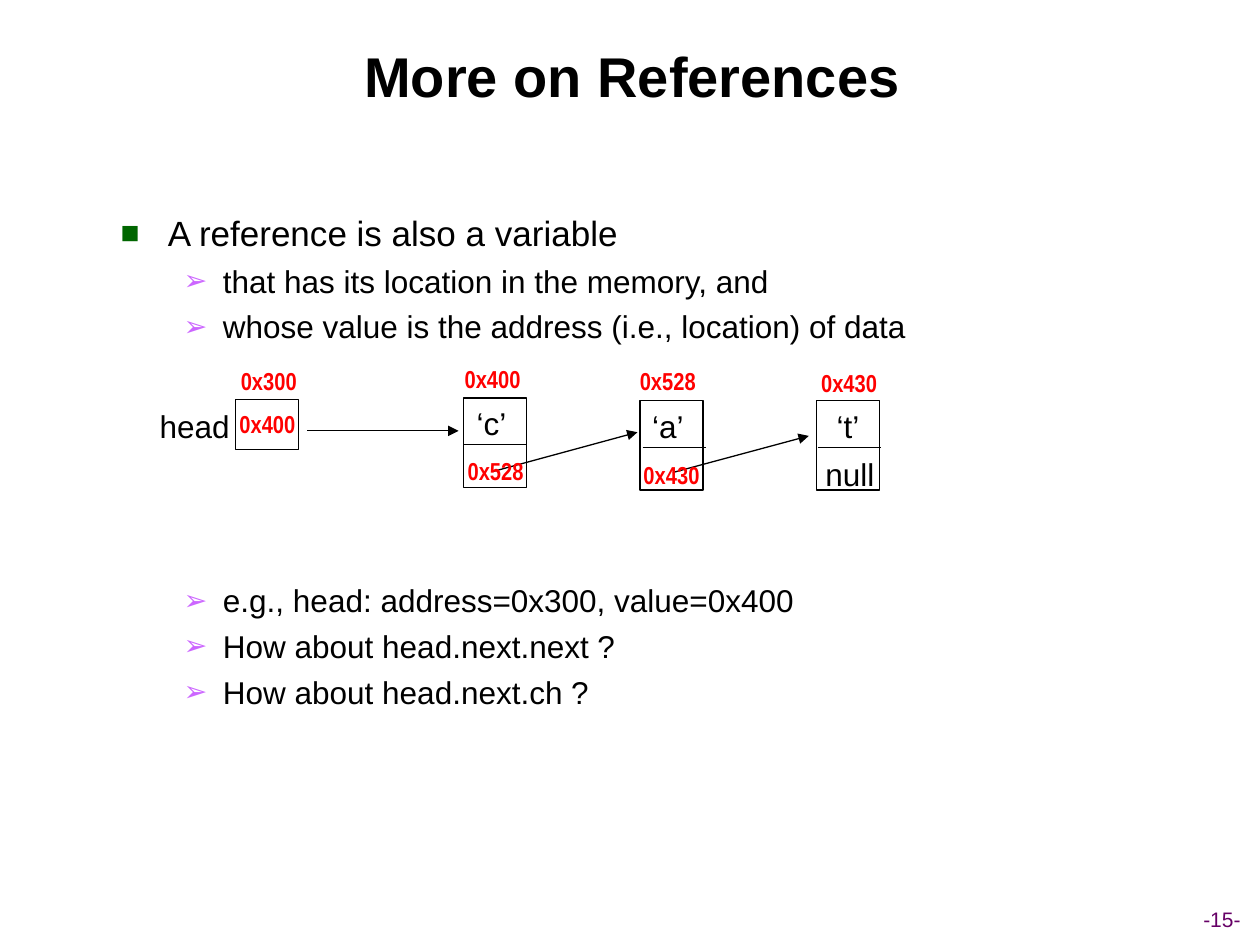
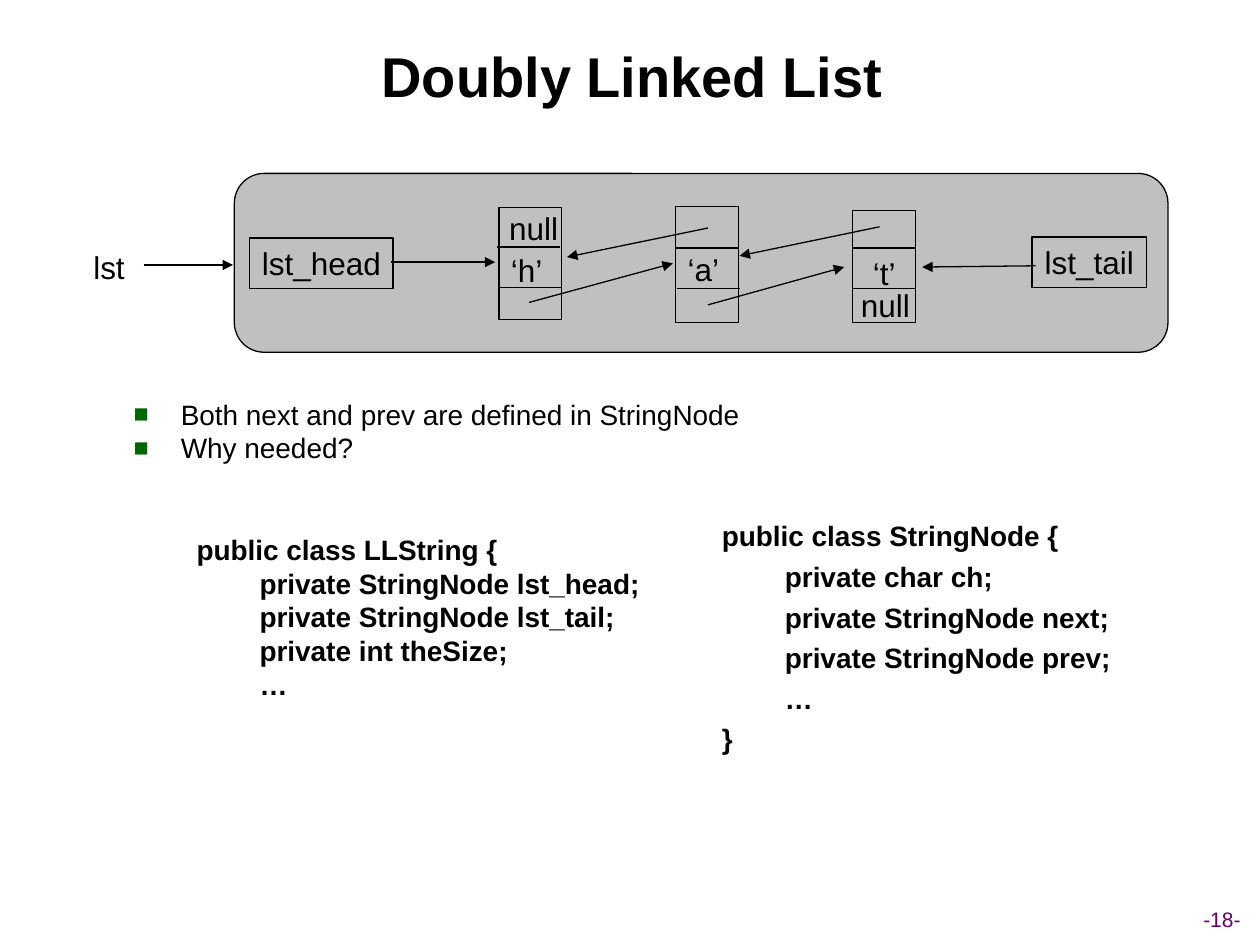
"""Build two lecture slides on references and linked lists."""
from lxml import etree
from pptx import Presentation
from pptx.dml.color import RGBColor
from pptx.enum import shapes, text
from pptx.oxml import ns
from pptx.util import Pt

COLORS = {"ink": "000000", "address": "FF0000", "band": "C0C0C0",
          "square": "006600", "arrowhead": "CC66FF", "page": "660066"}

FONTS = {
    "title": {"name": "Arial", "size": Pt(32), "bold": True, "color": "ink"},
    "point": {"name": "Arial", "size": Pt(20), "bold": False, "color": "ink"},
    "label": {"name": "Arial", "size": Pt(18), "bold": False, "color": "ink"},
    "small": {"name": "Arial", "size": Pt(16), "bold": False, "color": "ink"},
    "code": {"name": "Arial", "size": Pt(16), "bold": True, "color": "ink"},
    "page": {"name": "Arial", "size": Pt(12), "bold": False, "color": "page"},
    "address": {"name": "Arial Narrow", "size": Pt(14), "bold": True, "color": "address"},
}

LEVELS = {
    "point": {"font": "point", "level": 0, "indent": (27, -27), "bullet": ("■", "square"), "gap": 5},
    "detail": {"font": "label", "level": 1, "indent": (58.5, -22.5), "bullet": ("➢", "arrowhead"), "gap": 4.5},
    "small": {"font": "small", "level": 0, "indent": (27, -27), "bullet": ("■", "square"), "gap": 4},
    "code": {"font": "code", "level": 1, "indent": (58.5, -22.5), "bullet": None, "gap": 4},
    "member": {"font": "code", "level": 2, "indent": (90, -18), "bullet": None, "gap": 4},
}

TITLE_BOX = (27.6, 8.9, 667.4, 68.4)
PAGE_BOX = (659.8, 514.4, 77, 21.6)
NODE_WIDTH = 36
NULL_SIZE = (42.5, 28.8)
ADDRESS_SIZE = (46, 24.5)

REFERENCES = {
    "title": "More on References",
    "page": "-15-",
    "body_box": (61.7, 117.4, 603.4, 378),
    "line_spacing": 1.0,
    "body": [
        ("point", "A reference is also a variable"),
        ("detail", "that has its location in the memory, and"),
        ("detail", "whose value is the address (i.e., location) of data"),
        ("detail", "e.g., head: address=0x300, value=0x400", 135),
        ("detail", "How about head.next.next ?"),
        ("detail", "How about head.next.ch ?"),
    ],
    "boxes": [((134.6, 228.2, NODE_WIDTH, 28.8), "")],
    "nodes": {"left": 265, "step": 100.8, "text_top": 3.6,
              "items": [("‘c’ ", 227.5, 51), ("‘a’ ", 229, 51), ("‘t’", 229, 51)]},
    "dividers": [(265, 254.2), (367.2, 255.6), (467.3, 255.6)],
    "arrows": [((175.7, 246.2), (262.1, 246.2)),
               ((282.2, 269.3), (364.3, 247)),
               ((384.5, 270), (462.2, 249.1))],
    "labels": [("head", (84.2, 229, 54, 28.8)),
               ("null", (464.4, 256.3, *NULL_SIZE))],
    "addresses": [("0x300", 130.6, 205.4), ("0x400", 129.8, 230.4),
                  ("0x400", 258.5, 204.7), ("0x528", 260.2, 257),
                  ("0x528", 358.6, 205.7), ("0x430", 360.7, 259.2),
                  ("0x430", 462.2, 206.6)],
}

DOUBLY_LINKED = {
    "title": "Doubly Linked List",
    "page": "-18-",
    "band": (133.9, 99.1, 533.5, 102.2),
    "body_box": (69.1, 227, 603.4, 295),
    "line_spacing": 0.8,
    "body": [
        ("small", "Both next and prev are defined in StringNode"),
        ("small", "Why needed?"),
        ("code", "public class LLString {", 42.5),
        ("member", "private StringNode lst_head;"),
        ("member", "private StringNode lst_tail;"),
        ("member", "private int theSize;"),
        ("member", "…"),
    ],
    "boxes": [((142.6, 136, 82.1, 28.8), "lst_head"),
              ((589.7, 135.4, 65.5, 28.8), "lst_tail")],
    "nodes": {"left": 285.1, "step": 101.1, "text_top": 24.9,
              "items": [("‘h’ ", 118.8, 64), ("‘a’ ", 118, 66.3), ("‘t’", 120.2, 64)]},
    "dividers": [(283.9, 141.1), (386, 141.8), (487.4, 141.8),
                 (284.6, 164.2), (386.6, 164.9), (487.4, 164.9)],
    "arrows": [((82.1, 151.4), (133.2, 151.4)),
               ((223.2, 149.8), (283, 149.8)),
               ((302.4, 172.8), (384.5, 150.5)),
               ((404.6, 174.2), (482.4, 152.6)),
               ((502.6, 129.6), (422.6, 146.2)),
               ((404.6, 130.3), (324, 146.9)),
               ((591.8, 151.9), (527, 152.6))],
    "labels": [("lst", (46.1, 138.2, 32.4, 28.8)),
               ("null", (283.7, 115.9, *NULL_SIZE)),
               ("null", (484.6, 159.8, *NULL_SIZE))],
    "listing_box": (369.4, 293, 334, 172.8),
    "listing": [
        ("code", "public class StringNode {"),
        ("member", "private char ch;"),
        ("member", "private StringNode next;"),
        ("member", "private StringNode prev;"),
        ("member", "…"),
        ("code", "}"),
    ],
}


def points(values):
    return [Pt(value) for value in values]


def assign(target, values):
    for key, value in values.items():
        setattr(target, key, value)


def place(part, box):
    assign(part, dict(zip(("left", "top", "width", "height"), points(box))))


def rgb(name):
    return RGBColor.from_string(COLORS[name])


def write(paragraph, words, style):
    run = paragraph.add_run()
    run.text = words
    font = FONTS[style]
    assign(run.font, {key: font[key] for key in ("name", "size", "bold")})
    run.font.color.rgb = rgb(font["color"])


def write_centered(frame, words, style, top=3.6, anchor=text.MSO_ANCHOR.TOP):
    assign(frame, {"word_wrap": False, "margin_top": Pt(top), "margin_left": 0,
                   "margin_right": 0, "vertical_anchor": anchor})
    frame.paragraphs[0].alignment = text.PP_ALIGN.CENTER
    write(frame.paragraphs[0], words, style)


def add_element(parent, tag, **attributes):
    return etree.SubElement(parent, ns.qn(tag), attributes)


def set_bullet(properties, bullet):
    if bullet is None:
        add_element(properties, "a:buNone")
        return
    mark, color = bullet
    add_element(add_element(properties, "a:buClr"), "a:srgbClr", val=COLORS[color])
    add_element(properties, "a:buSzPct", val="90000")
    add_element(properties, "a:buChar", char=mark)


def write_outline(frame, lines, line_spacing=1.0):
    assign(frame, {"word_wrap": True, "auto_size": text.MSO_AUTO_SIZE.NONE,
                   "vertical_anchor": text.MSO_ANCHOR.TOP})
    for index, (kind, words, *gap) in enumerate(lines):
        level = LEVELS[kind]
        paragraph = frame.add_paragraph() if index else frame.paragraphs[0]
        properties = paragraph._p.get_or_add_pPr()
        for key, value in zip(("marL", "indent"), points(level["indent"])):
            properties.set(key, str(int(value)))
        set_bullet(properties, level["bullet"])
        before = (gap[0] if gap else level["gap"]) if index else 0
        assign(paragraph, {"level": level["level"], "line_spacing": line_spacing,
                           "space_before": Pt(before), "space_after": Pt(0),
                           "alignment": text.PP_ALIGN.LEFT})
        write(paragraph, words, level["font"])


def add_box(slide, box, words="", top=3.6, fill=None, kind=shapes.MSO_SHAPE.RECTANGLE):
    shape = slide.shapes.add_shape(kind, *points(box))
    shape.shadow.inherit = False
    if fill:
        shape.fill.solid()
        shape.fill.fore_color.rgb = rgb(fill)
    else:
        shape.fill.background()
    shape.line.color.rgb = rgb("ink")
    shape.line.width = Pt(0.75)
    if words:
        write_centered(shape.text_frame, words, "label", top)


def add_label(slide, words, box, style="label", anchor=text.MSO_ANCHOR.TOP):
    label = slide.shapes.add_textbox(*points(box))
    write_centered(label.text_frame, words, style, anchor=anchor)


def add_line(slide, start, end, arrow=False):
    line = slide.shapes.add_connector(shapes.MSO_CONNECTOR.STRAIGHT, *points(start + end))
    line.line.color.rgb = rgb("ink")
    line.line.width = Pt(0.75)
    if arrow:
        add_element(line.line._get_or_add_ln(), "a:tailEnd", type="triangle")
    add_element(line._element.spPr, "a:effectLst")


def draw_list(slide, content):
    for box, words in content["boxes"]:
        add_box(slide, box, words)
    nodes = content["nodes"]
    for index, (words, top, height) in enumerate(nodes["items"]):
        left = nodes["left"] + index * nodes["step"]
        add_box(slide, (left, top, NODE_WIDTH, height), words, nodes["text_top"])
    for left, top in content["dividers"]:
        add_line(slide, (left, top), (left + NODE_WIDTH, top))
    for start, end in content["arrows"]:
        add_line(slide, start, end, arrow=True)
    for words, box in content["labels"]:
        add_label(slide, words, box)
    for words, left, top in content.get("addresses", []):
        add_label(slide, words, (left, top, *ADDRESS_SIZE), "address")


def build_slide(deck, content):
    slide = deck.slides.add_slide(deck.slide_layouts[1])
    title, body = slide.placeholders
    place(title, TITLE_BOX)
    write_centered(title.text_frame, content["title"], "title", anchor=text.MSO_ANCHOR.MIDDLE)
    title.text_frame.word_wrap = True
    place(body, content["body_box"])
    write_outline(body.text_frame, content["body"], content["line_spacing"])
    if "band" in content:
        add_box(slide, content["band"], fill="band", kind=shapes.MSO_SHAPE.ROUNDED_RECTANGLE)
    draw_list(slide, content)
    if "listing" in content:
        listing = slide.shapes.add_textbox(*points(content["listing_box"]))
        write_outline(listing.text_frame, content["listing"])
    add_label(slide, content["page"], PAGE_BOX, "page", text.MSO_ANCHOR.MIDDLE)


def main():
    deck = Presentation()
    assign(deck, {"slide_width": Pt(720), "slide_height": Pt(540)})
    for content in (REFERENCES, DOUBLY_LINKED):
        build_slide(deck, content)
    deck.save("out.pptx")


if __name__ == "__main__":
    main()
